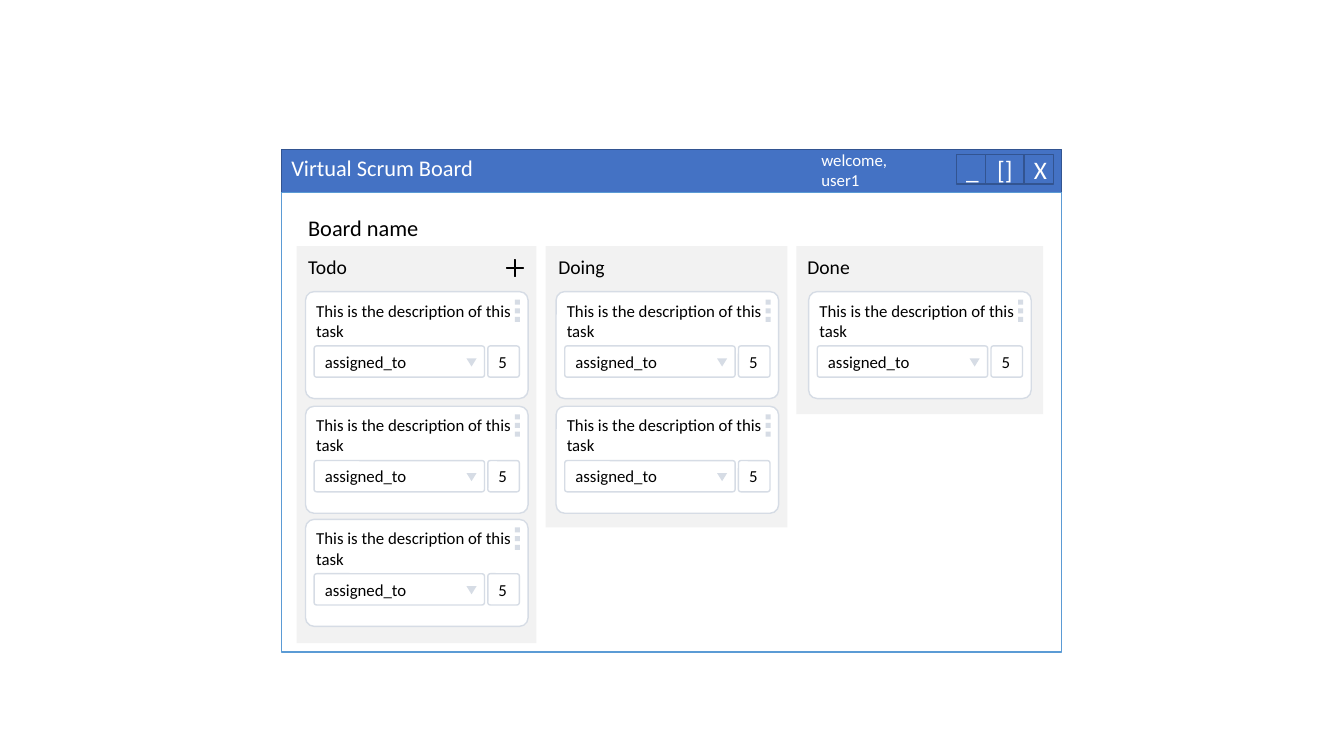
from pptx import Presentation
from pptx.dml.color import RGBColor
from pptx.enum.shapes import MSO_SHAPE
from pptx.enum.text import MSO_ANCHOR, PP_ALIGN
from pptx.util import Pt

COLORS = {
    "title_bar": "4472C4",
    "title_edge": "325491",
    "window_edge": "5B9BD5",
    "column": "F2F2F2",
    "card_edge": "D6DCE5",
    "white": "FFFFFF",
    "black": "000000",
}

presentation = Presentation()
presentation.slide_width = Pt(960)
presentation.slide_height = Pt(540)
slide = presentation.slides.add_slide(presentation.slide_layouts[6])


def add_box(kind, left, top, width, height, fill, line=None, corner=None):
    shape = slide.shapes.add_shape(kind, Pt(left), Pt(top), Pt(width), Pt(height))
    shape.shadow.inherit = False
    shape.fill.solid()
    shape.fill.fore_color.rgb = RGBColor.from_string(COLORS[fill])
    if line:
        shape.line.color.rgb = RGBColor.from_string(COLORS[line])
        shape.line.width = Pt(1)
    else:
        shape.line.fill.background()
    if corner is not None:
        shape.adjustments[0] = corner
    return shape


def write(text, shape=None, at=None, size=12, color="black",
          align=PP_ALIGN.LEFT, anchor=MSO_ANCHOR.TOP):
    if shape is None:
        shape = slide.shapes.add_textbox(*[Pt(length) for length in at])
    frame = shape.text_frame
    frame.word_wrap = True
    frame.vertical_anchor = anchor
    frame.text = text
    for paragraph in frame.paragraphs:
        paragraph.alignment = align
        paragraph.font.size = Pt(size)
        paragraph.font.name = "Calibri"
        paragraph.font.color.rgb = RGBColor.from_string(COLORS[color])


# Window frame and title bar
add_box(MSO_SHAPE.RECTANGLE, 201, 106.6, 557.3, 31, "title_bar", "title_edge")
add_box(MSO_SHAPE.RECTANGLE, 201, 137.6, 557.3, 328.2, "white", "window_edge")

# Window buttons
for label, left, width in [("X", 731.5, 21.2), ("[]", 703.9, 27.7), ("_", 683, 21)]:
    button = add_box(MSO_SHAPE.RECTANGLE, left, 110.3, width, 21.2, "title_bar", "title_edge")
    write(label, shape=button, size=18, color="white",
          align=PP_ALIGN.CENTER, anchor=MSO_ANCHOR.MIDDLE)

# Headings
write("Virtual Scrum Board", at=(201, 106.6, 465, 26.7), size=16, color="white")
write("Board name", at=(213, 149.3, 195, 26.7), size=16)
write("welcome,\nuser1", at=(579.6, 103.1, 99.4, 36.4), color="white")

# Columns: name, left, width, height, name left, card left, number of cards
columns = [
    ("Todo", 211.9, 171.2, 283.5, 213, 218.2, 3),
    ("Doing", 389.8, 172.7, 200.8, 391.7, 397.2, 2),
    ("Done", 568.9, 176.3, 120, 569.6, 577.6, 1),
]
card_tops = [208.3, 290.2, 371]

for name, left, width, height, name_left, card_left, card_count in columns:
    add_box(MSO_SHAPE.RECTANGLE, left, 175.9, width, height, "column")
    write(name, at=(name_left, 178.7, 87.8, 24.2), size=14)

    # Task cards
    for top in card_tops[:card_count]:
        add_box(MSO_SHAPE.ROUNDED_RECTANGLE, card_left, top, 159, 76.4,
                "white", "card_edge", corner=0.08)
        write("This is the description of this task",
              at=(card_left + 0.6, top + 2.7, 153.4, 36.4))
        for dot in range(3):
            add_box(MSO_SHAPE.RECTANGLE, card_left + 149.6, top + 5.7 + 6.2 * dot,
                    3.6, 3.6, "card_edge")
        for label, offset, field_width in [("assigned_to", 6.2, 121.7), ("5", 130.3, 22.5)]:
            field = add_box(MSO_SHAPE.ROUNDED_RECTANGLE, card_left + offset, top + 38.8,
                            field_width, 22.3, "white", "card_edge", corner=0.08)
            write(label, shape=field, anchor=MSO_ANCHOR.MIDDLE)
        arrow = add_box(MSO_SHAPE.ISOSCELES_TRIANGLE, card_left + 115, top + 47.7,
                        7.2, 5.8, "card_edge")
        arrow.rotation = 180

# Add-task sign
add_box(MSO_SHAPE.CROSS, 362.2, 185.8, 11.5, 11.5, "black", "black", corner=0.48)

presentation.save("out.pptx")
